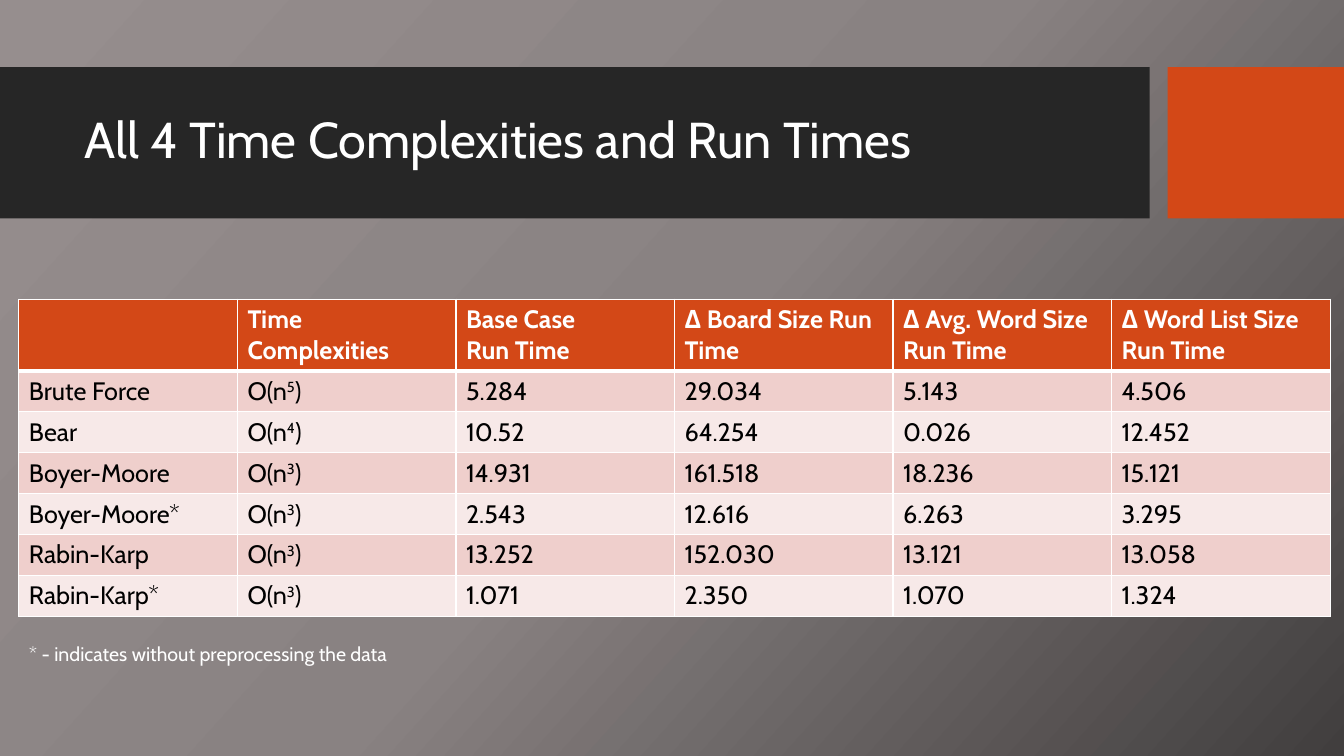
"""Build the slide comparing time complexities and run times."""
from copy import deepcopy
from dataclasses import dataclass
from typing import NamedTuple

from lxml.etree import SubElement as Sub
from pptx import Presentation
from pptx.dml.color import RGBColor as Rgb
from pptx.enum.shapes import MSO_SHAPE as Kind
from pptx.enum.text import MSO_ANCHOR as Anchor
from pptx.oxml.ns import qn
from pptx.util import Emu, Pt

PX = 9525


@dataclass(frozen=True)
class Theme:
    font: str = "Cabin"
    dark: str = "262626"
    accent: str = "D34817"
    white: str = "FFFFFF"
    black: str = "000000"
    bands: tuple = ("EFCFCC", "F7E9E8")
    back: tuple = ((0, "968E8E"), (0.5, "898282"), (1, "413E3E"))
    angle: int = 318
    title: int = 36
    body: int = 18
    note: int = 14
    line: int = 1
    rule: int = 3


class Box(NamedTuple):
    x: int
    y: int
    w: int
    h: int

    def emu(self) -> list:
        return [Emu(n * PX) for n in self]


class Panel(NamedTuple):
    box: Box
    fill: str


class Label(NamedTuple):
    box: Box
    text: str
    size: int
    anchor: Anchor
    lead: float


class Algo(NamedTuple):
    name: str
    power: int
    times: tuple


LOOK = Theme()
PANELS = (
    Panel(Box(0, 64, 1095, 144), LOOK.dark),
    Panel(Box(1112, 64, 168, 144), LOOK.accent),
)
LABELS = (
    Label(Box(71, 79, 1009, 113), "All 4 Time Complexities and Run Times",
          LOOK.title, Anchor.MIDDLE, 0.9),
    Label(Box(18, 607, 1120, 33), "* - indicates without preprocessing the data",
          LOOK.note, Anchor.TOP, 1.0),
)
GRID = Box(18, 285, 1249, 302)
HEAD = 68
HEADS = ("", "Time Complexities", "Base Case\nRun Time", "Δ Board Size Run Time",
         "Δ Avg. Word Size Run Time", "Δ Word List Size Run Time")
ALGOS = (
    Algo("Brute Force", 5, ("5.284", "29.034", "5.143", "4.506")),
    Algo("Bear", 4, ("10.52", "64.254", "0.026", "12.452")),
    Algo("Boyer-Moore", 3, ("14.931", "161.518", "18.236", "15.121")),
    Algo("Boyer-Moore*", 3, ("2.543", "12.616", "6.263", "3.295")),
    Algo("Rabin-Karp", 3, ("13.252", "152.030", "13.121", "13.058")),
    Algo("Rabin-Karp*", 3, ("1.071", "2.350", "1.070", "1.324")),
)


def style(frame, size: int, color: str, bold: bool = False) -> None:
    for para in frame.paragraphs:
        for run in para.runs:
            run.font.name = LOOK.font
            run.font.size = Pt(size)
            run.font.bold = bold
            run.font.color.rgb = Rgb.from_string(color)


def paint(slide) -> None:
    fill = slide.background.fill
    fill.gradient()
    fill.gradient_angle = LOOK.angle
    stops = slide.element.xpath(".//p:bg//a:gsLst")[0]
    stops.append(deepcopy(stops[0]))
    for stop, (place, color) in zip(fill.gradient_stops, LOOK.back):
        stop.position = place
        stop.color.rgb = Rgb.from_string(color)


def panel(slide, item: Panel) -> None:
    shape = slide.shapes.add_shape(Kind.RECTANGLE, *item.box.emu())
    shape.shadow.inherit = False
    shape.fill.solid()
    shape.fill.fore_color.rgb = Rgb.from_string(item.fill)
    shape.line.fill.background()


def label(slide, item: Label) -> None:
    frame = slide.shapes.add_textbox(*item.box.emu()).text_frame
    frame.word_wrap = True
    frame.vertical_anchor = item.anchor
    frame.text = item.text
    frame.paragraphs[0].line_spacing = item.lead
    style(frame, item.size, LOOK.white)


def edge(cell, row: int) -> None:
    props = cell._tc.get_or_add_tcPr()
    thick = {0: "lnB", 1: "lnT"}.get(row)
    for side in ("lnL", "lnR", "lnT", "lnB"):
        width = LOOK.rule if side == thick else LOOK.line
        line = Sub(props, qn(f"a:{side}"), w=str(Pt(width)))
        Sub(Sub(line, qn("a:solidFill")), qn("a:srgbClr"), val=LOOK.white)


def order(frame, power: int) -> None:
    para = frame.paragraphs[0]
    for text in ("O(n", str(power), ")"):
        para.add_run().text = text
    para.runs[1]._r.get_or_add_rPr().set("baseline", "30000")


def table(slide) -> None:
    rows = [HEADS] + [(a.name, a.power, *a.times) for a in ALGOS]
    grid = slide.shapes.add_table(len(rows), len(HEADS), *GRID.emu()).table
    for col in grid.columns:
        col.width = Emu(GRID.w * PX // len(HEADS))
    for r, row in enumerate(rows):
        high = HEAD if r == 0 else (GRID.h - HEAD) // len(ALGOS)
        grid.rows[r].height = Emu(high * PX)
        tint = LOOK.accent if r == 0 else LOOK.bands[(r - 1) % 2]
        ink = LOOK.white if r == 0 else LOOK.black
        for c, value in enumerate(row):
            cell = grid.cell(r, c)
            edge(cell, r)
            cell.fill.solid()
            cell.fill.fore_color.rgb = Rgb.from_string(tint)
            if isinstance(value, int):
                order(cell.text_frame, value)
            else:
                cell.text_frame.text = value
            style(cell.text_frame, LOOK.body, ink, r == 0)


def main() -> None:
    deck = Presentation()
    deck.slide_width, deck.slide_height = Emu(1280 * PX), Emu(720 * PX)
    slide = deck.slides.add_slide(deck.slide_layouts[6])
    paint(slide)
    for item in PANELS:
        panel(slide, item)
    table(slide)
    for item in LABELS:
        label(slide, item)
    deck.save("out.pptx")


if __name__ == "__main__":
    main()
